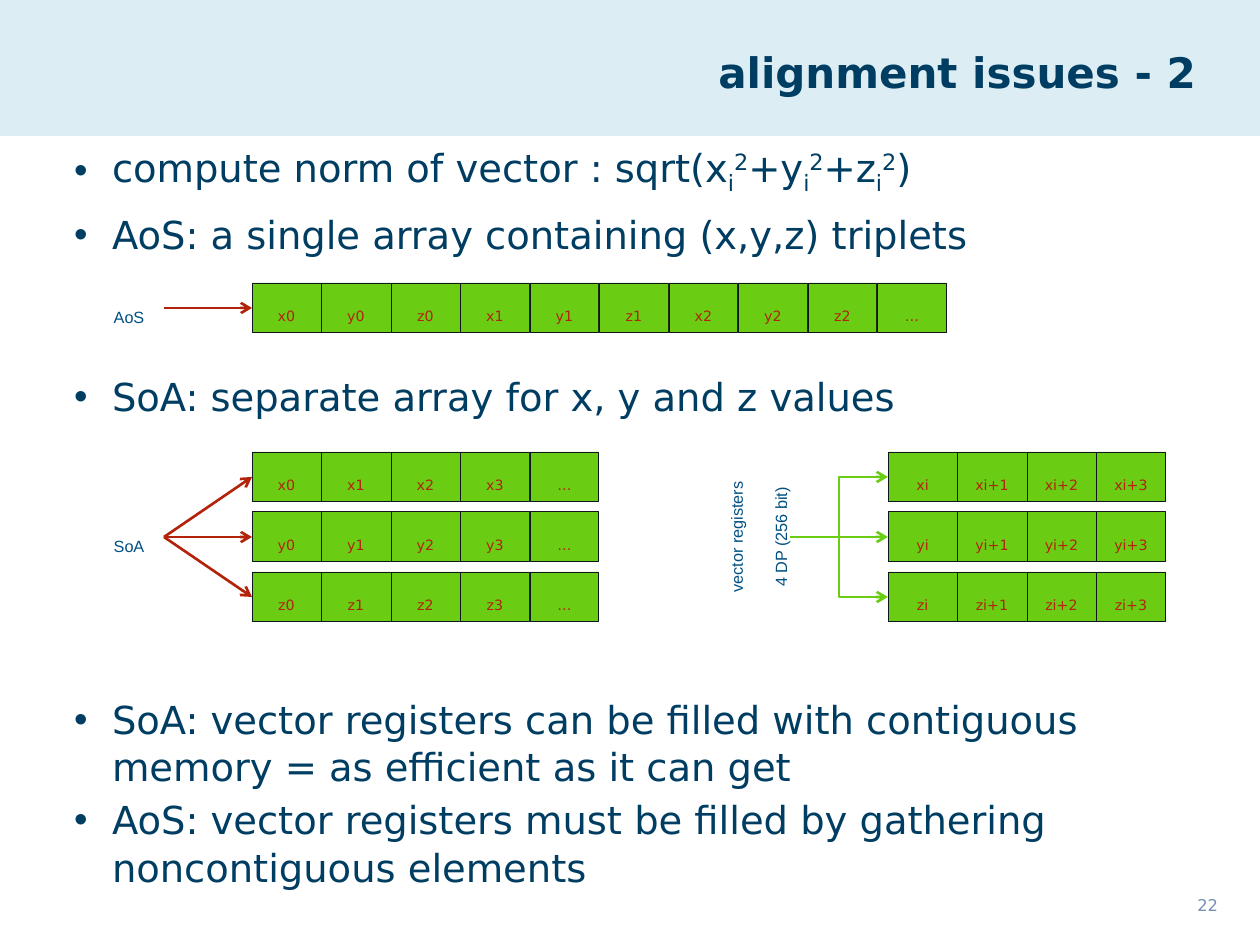
"""Build the slide comparing AoS and SoA memory layouts for vector registers."""
from dataclasses import dataclass

from lxml.etree import SubElement
from pptx import Presentation
from pptx.dml.color import RGBColor
from pptx.enum.shapes import MSO_CONNECTOR, MSO_SHAPE
from pptx.enum.text import MSO_ANCHOR, MSO_AUTO_SIZE, PP_ALIGN
from pptx.oxml.ns import qn
from pptx.util import Emu, Pt


@dataclass(frozen=True)
class Theme:
    heading: str = "003D62"
    label: str = "005082"
    number: str = "7590B5"
    band: str = "DCEEF3"
    cell: str = "6ACD14"
    cell_line: str = "10151D"
    accent: str = "B2230A"
    text_font: str = "DejaVu Sans"
    label_font: str = "Arial"
    title_size: int = 24
    body_size: int = 22
    label_size: int = 16
    cell_size: int = 14
    body_line: int = 27
    arrow_width: float = 1.5


THEME = Theme()
SUBSCRIPT, SUPERSCRIPT = -25, 30

TITLE = "alignment issues - 2"
PAGE_NUMBER = "22"
NORM = [("compute norm of vector : sqrt(x", 0)]
for following in ("+y", "+z", ")"):
    NORM += [("i", SUBSCRIPT), ("2", SUPERSCRIPT), (following, 0)]
BULLETS = [
    (0, NORM),
    (14, [("AoS: a single array containing (x,y,z) triplets", 0)]),
    (114, [("SoA: separate array for x, y and z values", 0)]),
    (276, [("SoA: vector registers can be filled with contiguous memory "
            "= as efficient as it can get", 0)]),
    (6, [("AoS: vector registers must be filled by gathering "
          "noncontiguous elements", 0)]),
]
AXES = "xyz"
AOS_CELLS = [axis + str(index) for index in range(3) for axis in AXES] + ["…"]
SOA_ROWS = [[axis + str(index) for index in range(4)] + ["…"] for axis in AXES]
REGISTER_ROWS = [[axis + suffix for suffix in ("i", "i+1", "i+2", "i+3")]
                 for axis in AXES]
REGISTER_LABEL = ["vector registers", "4 DP (256 bit)"]

ARRAY_LEFT, REGISTER_LEFT = 252, 888
AOS_TOP, SOA_TOP, ROW_STEP = 283, 452, 60
CELL_HEIGHT = 50
LABEL_LEFT, LABEL_WIDTH = 94, 70
ARROW_LEFT, FORK_LEFT = LABEL_LEFT + LABEL_WIDTH, 790
AOS_MIDDLE = AOS_TOP + CELL_HEIGHT // 2
SOA_MIDDLE = SOA_TOP + ROW_STEP + CELL_HEIGHT // 2


def px(value):
    return Emu(round(value * 914400 / 126))


def place(shape, *box):
    shape.left, shape.top, shape.width, shape.height = map(px, box)


def add_run(paragraph, text, size, color, font=THEME.text_font, baseline=0, bold=False):
    run = paragraph.add_run()
    run.text = text
    run.font.name = font
    run.font.size = Pt(size)
    run.font.bold = bold
    run.font.color.rgb = RGBColor.from_string(color)
    if baseline:
        run._r.get_or_add_rPr().set("baseline", str(baseline * 1000))


def format_frame(frame, anchor, wrap=True):
    frame.margin_left = frame.margin_right = frame.margin_top = frame.margin_bottom = 0
    frame.vertical_anchor = anchor
    frame.word_wrap = wrap
    frame.auto_size = MSO_AUTO_SIZE.NONE


def add_rectangle(slide, box, fill, line, line_width):
    shape = slide.shapes.add_shape(MSO_SHAPE.RECTANGLE, *map(px, box))
    shape.shadow.inherit = False
    shape.fill.solid()
    shape.fill.fore_color.rgb = RGBColor.from_string(fill)
    shape.line.color.rgb = RGBColor.from_string(line)
    shape.line.width = Pt(line_width)
    return shape


def add_label(slide, box, lines, align=PP_ALIGN.CENTER, anchor=MSO_ANCHOR.MIDDLE,
              font=THEME.label_font, color=THEME.label):
    shape = slide.shapes.add_textbox(*map(px, box))
    frame = shape.text_frame
    format_frame(frame, anchor)
    for index, line in enumerate(lines):
        paragraph = frame.add_paragraph() if index else frame.paragraphs[0]
        paragraph.alignment = align
        if index:
            paragraph.space_before = px(6)
        add_run(paragraph, line, THEME.label_size, color, font, SUBSCRIPT)
    return shape


def add_cells(slide, left, top, labels):
    edges = [left + index * 139 // 2 for index in range(len(labels) + 1)]
    cells = []
    for start, end, label in zip(edges, edges[1:], labels):
        cell = add_rectangle(slide, (start, top, end - start, CELL_HEIGHT),
                             THEME.cell, THEME.cell_line, 0.5)
        format_frame(cell.text_frame, MSO_ANCHOR.MIDDLE)
        paragraph = cell.text_frame.paragraphs[0]
        paragraph.alignment = PP_ALIGN.CENTER
        for part in filter(None, (label[0], label[1:])):
            add_run(paragraph, part, THEME.cell_size, THEME.accent, baseline=SUBSCRIPT)
        cells.append(cell)
    return cells


def add_arrow(slide, kind, start, end, color):
    arrow = slide.shapes.add_connector(kind, *map(px, (*start, *end)))
    arrow.line.color.rgb = RGBColor.from_string(color)
    arrow.line.width = Pt(THEME.arrow_width)
    SubElement(arrow.line._get_or_add_ln(), qn("a:tailEnd"), type="arrow")
    SubElement(arrow._element.spPr, qn("a:effectLst"))
    return arrow


def add_red_arrow(slide, start_y, end_y, cell):
    arrow = add_arrow(slide, MSO_CONNECTOR.STRAIGHT, (ARROW_LEFT, start_y),
                      (ARRAY_LEFT, end_y), THEME.accent)
    arrow.end_connect(cell, 1)


def fill_title(title):
    place(title, 194, 28, 1002, 87)
    format_frame(title.text_frame, MSO_ANCHOR.MIDDLE)
    paragraph = title.text_frame.paragraphs[0]
    paragraph.alignment = PP_ALIGN.RIGHT
    add_run(paragraph, TITLE, THEME.title_size, THEME.heading, bold=True)


def fill_body(body):
    place(body, 74, 149, 1121, 731)
    frame = body.text_frame
    format_frame(frame, MSO_ANCHOR.TOP)
    for index, (gap, runs) in enumerate(BULLETS):
        paragraph = frame.add_paragraph() if index else frame.paragraphs[0]
        properties = paragraph._p.get_or_add_pPr()
        properties.set("marL", str(px(38)))
        properties.set("indent", str(px(-38)))
        SubElement(properties, qn("a:buChar"), char="•")
        paragraph.alignment = PP_ALIGN.LEFT
        paragraph.line_spacing = Pt(THEME.body_line)
        paragraph.space_before = px(gap)
        for text, baseline in runs:
            add_run(paragraph, text, THEME.body_size, THEME.heading, baseline=baseline)


def main():
    presentation = Presentation()
    presentation.slide_width, presentation.slide_height = px(1260), px(945)
    slide = presentation.slides.add_slide(presentation.slide_layouts[1])
    band = add_rectangle(slide, (0, 0, 1260, 135), THEME.band, THEME.band, 0.75)
    slide.shapes._spTree.insert(2, band._element)
    fill_title(slide.shapes.title)
    fill_body(slide.placeholders[1])
    add_label(slide, (1096, 877, 122, 53), [PAGE_NUMBER], PP_ALIGN.RIGHT,
              MSO_ANCHOR.TOP, THEME.text_font, THEME.number)

    aos_cells = add_cells(slide, ARRAY_LEFT, AOS_TOP, AOS_CELLS)
    add_label(slide, (LABEL_LEFT, AOS_TOP, LABEL_WIDTH, CELL_HEIGHT), ["AoS"])
    add_red_arrow(slide, AOS_MIDDLE, AOS_MIDDLE, aos_cells[0])

    add_label(slide, (LABEL_LEFT, SOA_MIDDLE - 17, LABEL_WIDTH, 34), ["SoA"])
    register_label = add_label(slide, (635, SOA_MIDDLE - 40, 228, 80), REGISTER_LABEL)
    register_label.rotation = 270
    for row, (array, register) in enumerate(zip(SOA_ROWS, REGISTER_ROWS)):
        top = SOA_TOP + row * ROW_STEP
        middle = top + CELL_HEIGHT // 2
        array_cells = add_cells(slide, ARRAY_LEFT, top, array)
        add_red_arrow(slide, SOA_MIDDLE, middle, array_cells[0])
        add_cells(slide, REGISTER_LEFT, top, register)
        add_arrow(slide, MSO_CONNECTOR.ELBOW, (FORK_LEFT, SOA_MIDDLE),
                  (REGISTER_LEFT, middle), THEME.cell)

    presentation.save("out.pptx")


if __name__ == "__main__":
    main()
